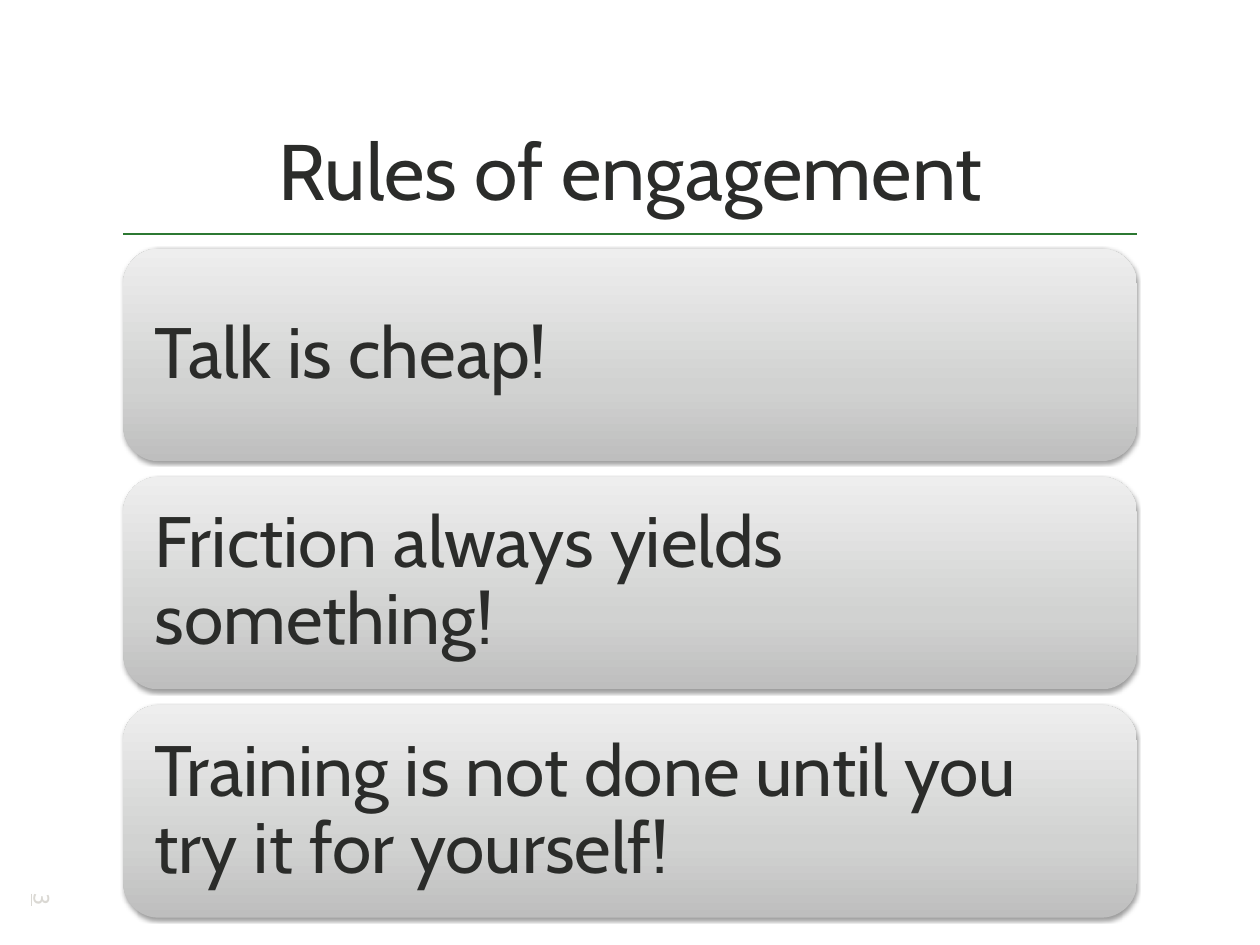
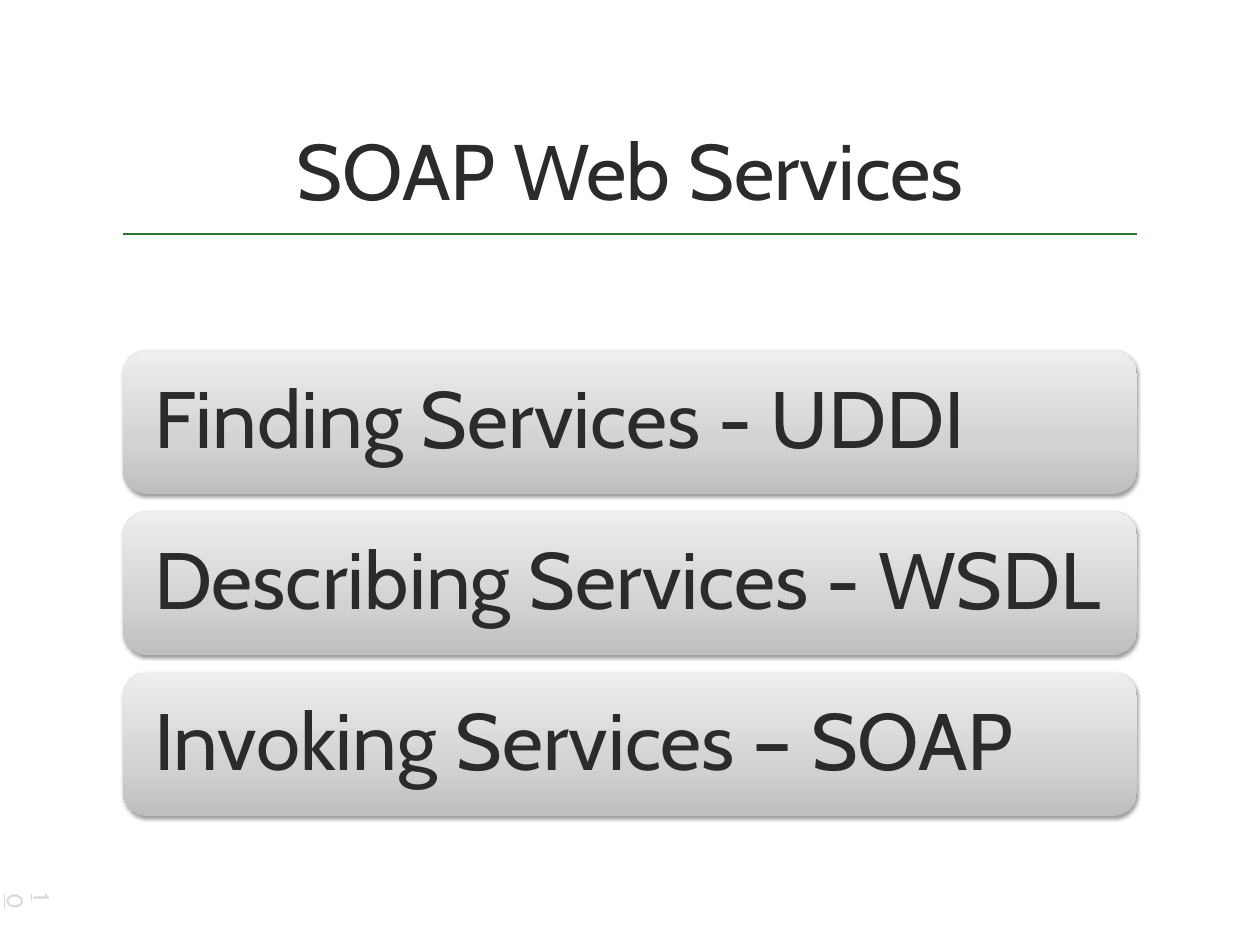
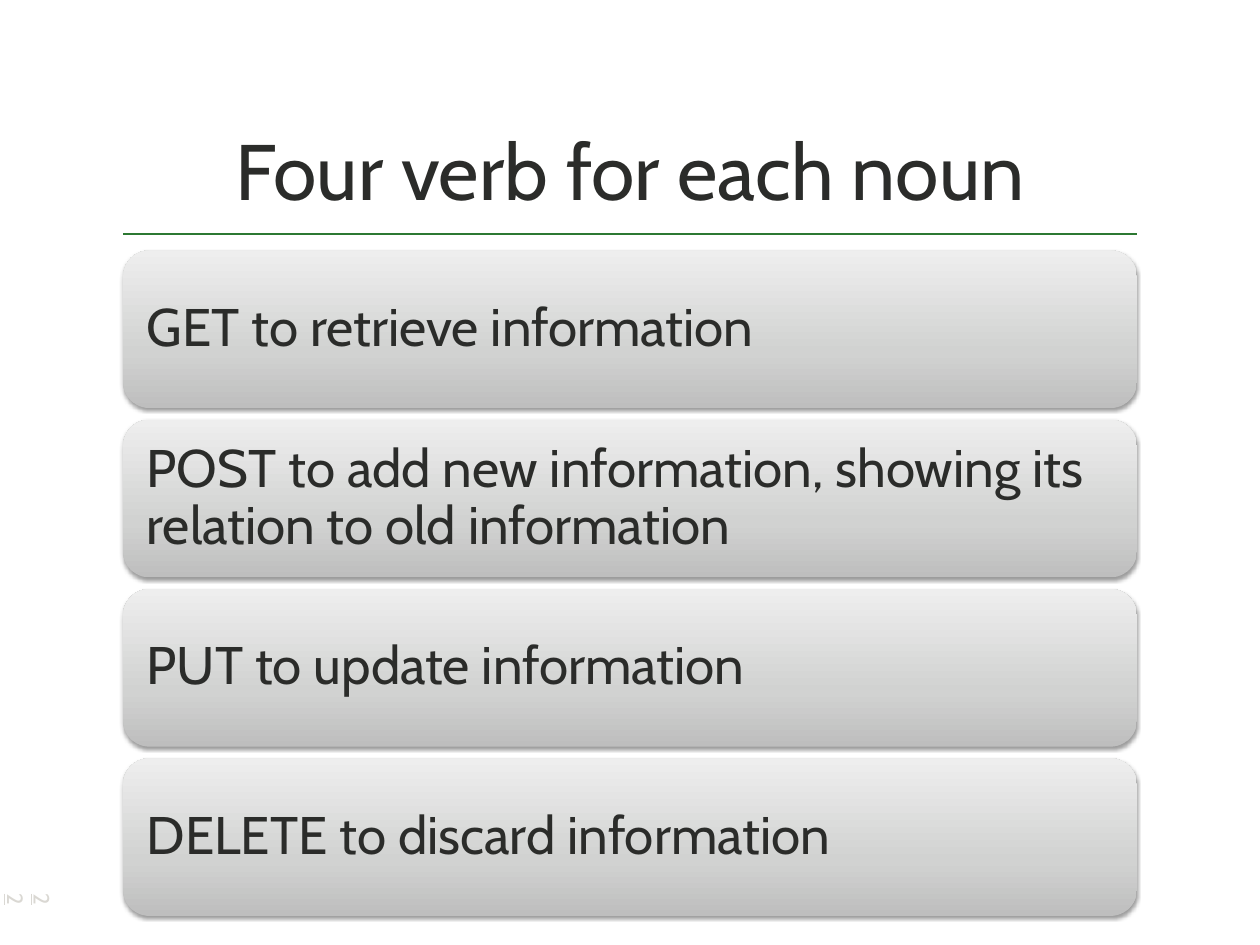
from lxml.etree import SubElement
from pptx import Presentation
from pptx.dml.color import RGBColor
from pptx.enum.shapes import MSO_CONNECTOR, MSO_SHAPE
from pptx.enum.text import MSO_ANCHOR, PP_ALIGN
from pptx.oxml.ns import qn
from pptx.util import Inches, Pt

PAGE_WIDTH, PAGE_HEIGHT = 14.22, 10.67
MARGIN = 1.39
CONTENT_WIDTH = PAGE_WIDTH - 2 * MARGIN
RULE_TOP = 2.64
CARDS_MIDDLE = 6.585

FONT = "Cabin"
INK, GREEN, PALE = "2B2C2A", "2C7832", "DAD8D3"
CARD_STOPS = [(0, "BEBEBE"), (35, "D1D2D1"), (100, "EEEEEE")]

# Title, page number, card height, text size, card texts
PAGES = [
    ("Rules of engagement", "3", 2.4, 58, [
        "Talk is cheap!",
        "Friction always yields something!",
        "Training is not done until you try it for yourself!",
    ]),
    ("SOAP Web Services", "10", 1.62, 65, [
        "Finding Services - UDDI",
        "Describing Services - WSDL",
        "Invoking Services – SOAP",
    ]),
    ("Four verb for each noun", "22", 1.78, 43, [
        "GET to retrieve information",
        "POST to add new information, showing its relation to old information",
        "PUT to update information",
        "DELETE to discard information",
    ]),
]


def color(value):
    """Turn a hex string into a colour."""
    return RGBColor.from_string(value)


def write(shape, text, size, ink=INK, align=PP_ALIGN.LEFT, anchor=MSO_ANCHOR.TOP,
          insets=(0.1, 0.05), wrap=True, spacing=None, underline=None):
    """Write one formatted paragraph into a shape."""
    frame = shape.text_frame
    frame.word_wrap = wrap
    frame.vertical_anchor = anchor
    frame.margin_left = frame.margin_right = Inches(insets[0])
    frame.margin_top = frame.margin_bottom = Inches(insets[1])
    para = frame.paragraphs[0]
    para.alignment = align
    para.line_spacing = spacing
    span = para.add_run()
    span.text = text
    span.font.name = FONT
    span.font.size = Pt(size)
    span.font.underline = underline
    span.font.color.rgb = color(ink)


def add_text(page, text, left, top, width, height, size, **style):
    """Add a text box and return it."""
    box = page.shapes.add_textbox(*map(Inches, (left, top, width, height)))
    write(box, text, size, **style)
    return box


def add_rule(page):
    """Draw the green line under the title."""
    rule = page.shapes.add_connector(
        MSO_CONNECTOR.STRAIGHT, Inches(MARGIN), Inches(RULE_TOP),
        Inches(MARGIN + CONTENT_WIDTH), Inches(RULE_TOP))
    rule.line.color.rgb = color(GREEN)
    rule.line.width = Pt(2)
    SubElement(rule._element.spPr, qn("a:effectLst"))


def add_color(parent, value):
    """Append a colour element and return it."""
    return SubElement(parent, qn("a:srgbClr"), val=value)


def shade(card):
    """Give a card its vertical gradient."""
    card.fill.gradient()
    card.fill.gradient_angle = 90
    stops = card._element.spPr.find(qn("a:gradFill")).find(qn("a:gsLst"))
    for stop in list(stops):
        stops.remove(stop)
    for position, value in CARD_STOPS:
        add_color(SubElement(stops, qn("a:gs"), pos=str(position * 1000)), value)


def cast_shadow(card):
    """Give a card a soft shadow below it."""
    card.shadow.inherit = False
    effects = card._element.spPr.find(qn("a:effectLst"))
    shadow = SubElement(effects, qn("a:outerShdw"), blurRad=str(Pt(3.1)),
                        dist=str(Pt(1.6)), dir="5400000", rotWithShape="0")
    SubElement(add_color(shadow, "000000"), qn("a:alpha"), val="38000")


def add_card(page, text, top, height, size):
    """Add a rounded card whose insets follow its text size."""
    card = page.shapes.add_shape(
        MSO_SHAPE.ROUNDED_RECTANGLE, *map(Inches, (MARGIN, top, CONTENT_WIDTH, height)))
    card.line.fill.background()
    shade(card)
    cast_shadow(card)
    inset = 0.3 * size / 72
    write(card, text, size, anchor=MSO_ANCHOR.MIDDLE, insets=(inset, inset), spacing=0.9)


def add_cards(page, texts, height, size):
    """Stack cards evenly around the middle of the content area."""
    gap = 0.22 * size / 72
    step = height + gap
    first = CARDS_MIDDLE - (len(texts) * step - gap) / 2
    for row, text in enumerate(texts):
        add_card(page, text, first + row * step, height, size)


def add_page(deck, title, number):
    """Add a page with its title, rule and page number."""
    page = deck.slides.add_slide(deck.slide_layouts[6])
    add_rule(page)
    add_text(page, title, MARGIN, 0.28, CONTENT_WIDTH, 2.22, 64, align=PP_ALIGN.CENTER,
             anchor=MSO_ANCHOR.BOTTOM, insets=(0.06, 0.06))
    label = add_text(page, number, 0.28, 10, 0.41, 0.39, 18, ink=PALE, wrap=False,
                     underline=True)
    label.rotation = 90
    return page


def main():
    """Build the deck and save it."""
    deck = Presentation()
    deck.slide_width, deck.slide_height = Inches(PAGE_WIDTH), Inches(PAGE_HEIGHT)
    for title, number, height, size, texts in PAGES:
        page = add_page(deck, title, number)
        add_cards(page, texts, height, size)
    deck.save("out.pptx")


main()
